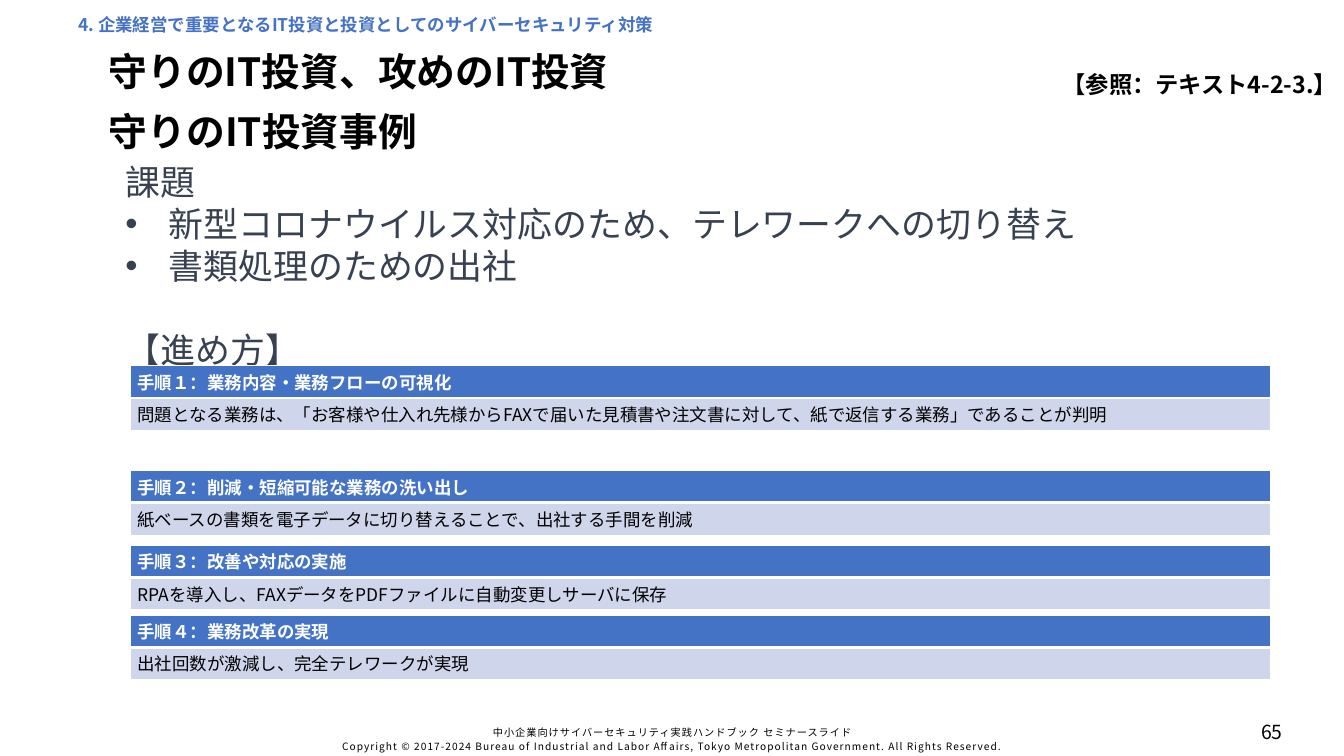
from pptx import Presentation
from pptx.dml.color import RGBColor
from pptx.enum.text import MSO_ANCHOR as Anchor, MSO_AUTO_SIZE as AutoSize, PP_ALIGN as Align
from pptx.oxml.ns import qn
from pptx.util import Pt
from lxml.etree import SubElement

PX = 9144  # 100 px to the inch
FONT = "Noto Sans CJK JP"
COLORS = {"black": "000000", "white": "FFFFFF", "blue": "4472C4",
          "pale": "CFD5EA", "slate": "374151"}
STEPS = [
    (524, "手順１：業務内容・業務フローの可視化",
     "問題となる業務は、「お客様や仕入れ先様からFAXで届いた見積書や注文書に対して、紙で返信する業務」であることが判明"),
    (674, "手順２：削減・短縮可能な業務の洗い出し",
     "紙ベースの書類を電子データに切り替えることで、出社する手間を削減"),
    (781, "手順３：改善や対応の実施",
     "RPAを導入し、FAXデータをPDFファイルに自動変更しサーバに保存"),
    (881, "手順４：業務改革の実現", "出社回数が激減し、完全テレワークが実現"),
]


def px(*lengths):
    return [round(length * PX) for length in lengths]


def rgb(name):
    return RGBColor.from_string(COLORS[name])


def write(para, text, size=18, color="black", bold=False, align=Align.LEFT,
          line=None, before=None, tracking=None, bullet=None, indent=0):
    props = para._p.get_or_add_pPr()
    if bullet:
        hang = px(indent)[0]
        props.set("marL", str(hang))
        props.set("indent", str(-hang))
        SubElement(props, qn("a:buFont"), typeface="Arial")
        SubElement(props, qn("a:buChar"), char=bullet)
    para.alignment = align
    if line is not None:
        para.line_spacing = line
    if before is not None:
        para.space_before = before
    span = para.add_run()
    span.text = text
    font = span.font
    font.size, font.bold, font.name = Pt(size), bold, FONT
    font.color.rgb = rgb(color)
    run_props = font._element
    SubElement(run_props, qn("a:ea"), typeface=FONT)
    if tracking:
        run_props.set("spc", str(round(tracking * 100)))


def fill_frame(frame, lines, anchor=Anchor.TOP, **style):
    frame.word_wrap = True
    frame.auto_size = AutoSize.NONE
    frame.vertical_anchor = anchor
    for index, (text, extra) in enumerate(lines):
        para = frame.paragraphs[0] if index == 0 else frame.add_paragraph()
        write(para, text, **{**style, **extra})


def add_text(page, box, lines, **style):
    frame = page.shapes.add_textbox(*px(*box)).text_frame
    fill_frame(frame, lines, **style)
    return frame


def add_headings(page, left, top, width, height):
    # Section name
    section = add_text(page, (left - 34, top - 48, 1748, 25),
                       [("4. 企業経営で重要となるIT投資と投資としてのサイバーセキュリティ対策", {})],
                       color="blue", bold=True, line=Pt(15))
    section.margin_left = section.margin_right = section.margin_bottom = 0
    section.margin_top = px(1)[0]

    # Topic and slide title
    heading = dict(size=40, bold=True, line=0.9, anchor=Anchor.MIDDLE)
    add_text(page, (left, top, width, height), [("守りのIT投資、攻めのIT投資", {})], **heading)
    title = page.shapes.title
    title.left, title.top, title.width, title.height = px(left, top + 85, width, height)
    fill_frame(title.text_frame, [("守りのIT投資事例", {"before": Pt(0)})], **heading)

    # Textbook reference
    add_text(page, (1333, top + 19, 593, 50), [("【参照：テキスト4-2-3.】", {})],
             size=24, bold=True, align=Align.RIGHT)


def add_issues(page, box):
    bullet = {"bullet": "•", "indent": 62}
    add_text(page, box, [
        ("課題", {}),
        ("新型コロナウイルス対応のため、テレワークへの切り替え", bullet),
        ("書類処理のための出社", bullet),
        ("【進め方】", {"before": Pt(43.4)}),
    ], size=36, color="slate", line=Pt(43.4))


def format_cell(cell, text, fill, color, bold, bottom):
    props = cell._tc.get_or_add_tcPr()
    for side, width in (("L", 1), ("R", 1), ("T", 1), ("B", bottom)):
        border = SubElement(props, qn(f"a:ln{side}"), w=str(Pt(width)))
        paint = SubElement(border, qn("a:solidFill"))
        SubElement(paint, qn("a:srgbClr"), val=COLORS["white"])
    cell.fill.solid()
    cell.fill.fore_color.rgb = rgb(fill)
    write(cell.text_frame.paragraphs[0], text, color=color, bold=bold)


def add_step(page, left, top, width, heading, detail):
    table = page.shapes.add_table(2, 1, *px(left, top, width, 82)).table
    table.horz_banding = False
    format_cell(table.cell(0, 0), heading, "blue", "white", True, 3)
    format_cell(table.cell(1, 0), detail, "pale", "black", False, 1)


def add_footer(page, left, top, width, height):
    add_text(page, (left, top, width, height), [
        ("中小企業向けサイバーセキュリティ実践ハンドブック セミナースライド", {}),
        ("Copyright © 2017-2024 Bureau of Industrial and Labor Affairs, "
         "Tokyo Metropolitan Government. All Rights Reserved.", {}),
    ], size=10.5, align=Align.CENTER, line=1.1, tracking=1.1, anchor=Anchor.MIDDLE)
    add_text(page, (1738, top - 4, 169, 38), [("65", {})],
             size=20, align=Align.CENTER, anchor=Anchor.MIDDLE)


def main():
    deck = Presentation()
    deck.slide_width, deck.slide_height = px(1926, 1083)
    page = deck.slides.add_slide(deck.slide_layouts[5])
    add_footer(page, 374, 1033, 1179, 51)
    add_headings(page, 146, 76, 1634, 61)
    add_issues(page, (170, 225, 1690, 374))
    for top, heading, detail in STEPS:
        add_step(page, 187, top, 1634, heading, detail)
    deck.save("out.pptx")


if __name__ == "__main__":
    main()
